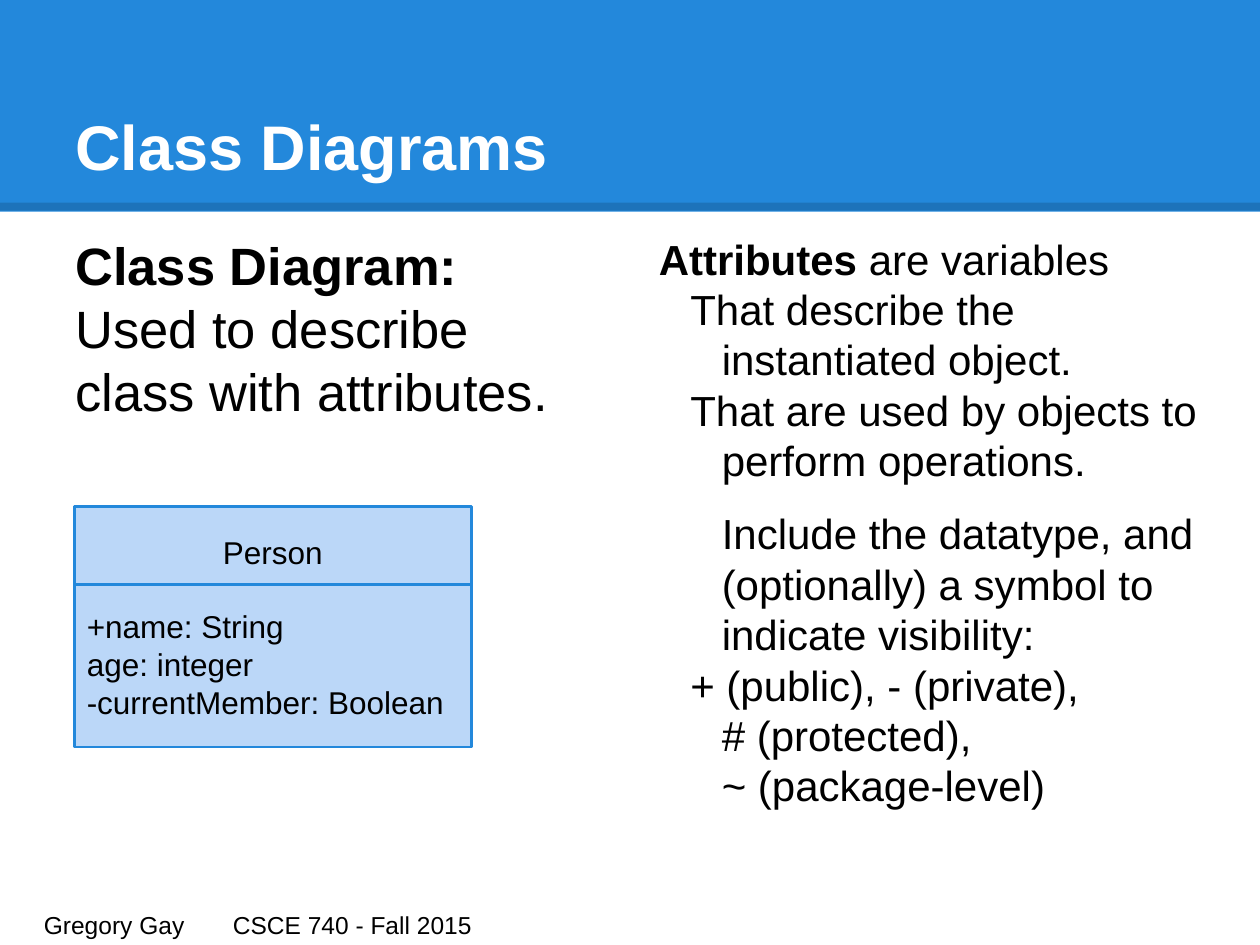
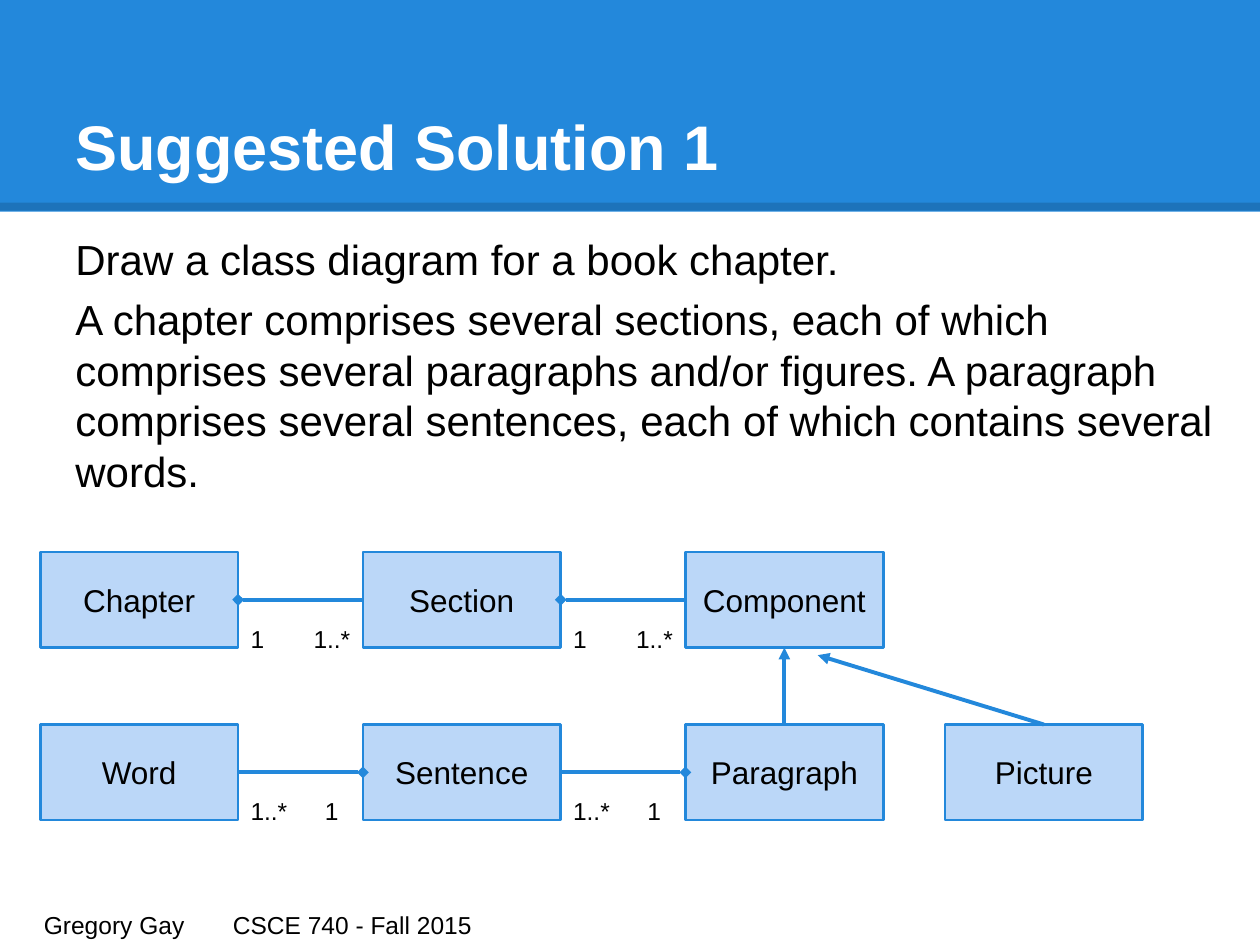
from dataclasses import dataclass

from lxml.etree import SubElement
from pptx import Presentation
from pptx.dml.color import RGBColor
from pptx.enum.shapes import MSO_CONNECTOR, MSO_SHAPE
from pptx.enum.text import MSO_ANCHOR, PP_ALIGN
from pptx.oxml.ns import qn
from pptx.util import Inches, Pt


@dataclass(frozen=True)
class Theme:
    font: str = "Arial"
    blue: str = "2388DB"
    pale_blue: str = "BBD7F8"
    white: str = "FFFFFF"
    black: str = "000000"
    title: int = 36
    lead: int = 30
    body: int = 24
    label: int = 18
    small: int = 14
    outline: float = 1.5
    link: float = 2.25
    rule: float = 4.5


@dataclass(frozen=True)
class Box:
    left: float
    top: float
    width: float
    height: float

    def inches(self):
        return [Inches(n) for n in (self.left, self.top, self.width, self.height)]


@dataclass(frozen=True)
class Para:
    runs: tuple  # (text, bold) pairs; "\n" breaks the line
    before: float = 0
    margin: float = 0
    indent: float = 0
    align: PP_ALIGN = PP_ALIGN.LEFT
    tab: float = 0


THEME = Theme()
SLIDE = Box(0, 0, 10, 7.5)
BAND = Box(0, 0, 10, 1.68)
TITLE = Box(0.5, 0.3, 9, 1.25)
FOOTER = Box(0.25, 7.12, 9.5, 0.3)
TOP, LEFT, BOTTOM, RIGHT = range(4)


def rgb(color):
    return RGBColor.from_string(color)


def plain(text, **layout):
    return Para(((text, False),), **layout)


def bold(text, **layout):
    return Para(((text, True),), **layout)


def write(shape, paras, *, size, color=THEME.black, anchor=MSO_ANCHOR.TOP):
    """Fill a shape with formatted paragraphs."""
    frame = shape.text_frame
    frame.word_wrap = True
    frame.vertical_anchor = anchor
    frame.margin_left = frame.margin_right = Inches(0.1)
    frame.margin_top = frame.margin_bottom = Inches(0.1)
    for number, para in enumerate(paras):
        paragraph = frame.paragraphs[0] if number == 0 else frame.add_paragraph()
        paragraph.alignment = para.align
        paragraph.space_before = Pt(para.before)
        props = paragraph._p.get_or_add_pPr()
        props.set("marL", str(Inches(para.margin)))
        props.set("indent", str(Inches(para.indent)))
        if para.tab:
            stops = SubElement(props, qn("a:tabLst"))
            SubElement(stops, qn("a:tab"), pos=str(Inches(para.tab)), algn="l")
        for text, is_bold in para.runs:
            for line_number, line in enumerate(text.split("\n")):
                if line_number:
                    paragraph.add_line_break()
                run = paragraph.add_run()
                run.text = line
                run.font.name = THEME.font
                run.font.size = Pt(size)
                run.font.bold = is_bold
                run.font.color.rgb = rgb(color)


def add_text(slide, box, paras, **style):
    write(slide.shapes.add_textbox(*box.inches()), paras, **style)


def add_rect(slide, box, fill, outline=None):
    rect = slide.shapes.add_shape(MSO_SHAPE.RECTANGLE, *box.inches())
    rect.shadow.inherit = False
    rect.fill.solid()
    rect.fill.fore_color.rgb = rgb(fill)
    if outline:
        rect.line.color.rgb = rgb(outline)
        rect.line.width = Pt(THEME.outline)
    else:
        rect.line.fill.background()
    return rect


def add_line(slide, start, end, *, color=THEME.blue, width=THEME.link,
             opacity=None, arrow=None):
    line = slide.shapes.add_connector(
        MSO_CONNECTOR.STRAIGHT, *[Inches(n) for n in (*start, *end)])
    line.line.color.rgb = rgb(color)
    line.line.width = Pt(width)
    stroke = line.line._get_or_add_ln()
    if opacity:
        SubElement(stroke.find(".//" + qn("a:srgbClr")), qn("a:alpha"),
                   val=str(opacity * 1000))
    if arrow:
        SubElement(stroke, qn("a:tailEnd"), type=arrow)
    SubElement(line._element.spPr, qn("a:effectLst"))
    return line


def add_link(slide, source, source_side, target, target_side, arrow):
    link = add_line(slide, (0, 0), (1, 1), arrow=arrow)
    link.begin_connect(source, source_side)
    link.end_connect(target, target_side)


def start_slide(deck, title):
    """Blank slide with the shared band, title and footer."""
    slide = deck.slides.add_slide(deck.slide_layouts[6])
    add_rect(slide, BAND, THEME.blue)
    rule_y = BAND.height - 0.04
    add_line(slide, (0, rule_y), (BAND.width, rule_y), color=THEME.black,
             width=THEME.rule, opacity=15)
    add_text(slide, TITLE, [bold(title)], size=THEME.title, color=THEME.white,
             anchor=MSO_ANCHOR.BOTTOM)
    add_text(slide, FOOTER, [plain("Gregory Gay\tCSCE 740 - Fall 2015", tab=6)],
             size=THEME.small)
    return slide


def draw_person_class(slide, box):
    """Class with a name compartment above its attributes."""
    person = add_rect(slide, box, THEME.pale_blue, THEME.blue)
    write(person, [
        plain("Person", align=PP_ALIGN.CENTER),
        plain("+name: String", before=21),
        plain("age: integer"),
        plain("-currentMember: Boolean"),
    ], size=THEME.label, anchor=MSO_ANCHOR.MIDDLE)
    divider_y = box.top + 0.62
    add_line(slide, (box.left, divider_y), (box.left + box.width, divider_y),
             width=THEME.outline)


def draw_book_diagram(slide, box):
    """Two rows of classes, joined by compositions and generalizations."""
    width, height, pitch, row_gap = 1.57, 0.76, 2.56, 1.37
    upper, lower = box.top, box.top + row_gap
    places = {
        "Chapter": (box.left, upper),
        "Section": (box.left + pitch, upper),
        "Component": (box.left + 2 * pitch, upper),
        "Word": (box.left, lower),
        "Sentence": (box.left + pitch, lower),
        "Paragraph": (box.left + 2 * pitch, lower),
        "Picture": (box.left + box.width - width, lower),
    }
    classes = {}
    for name, (left, top) in places.items():
        classes[name] = add_rect(slide, Box(left, top, width, height),
                                 THEME.pale_blue, THEME.blue)
        write(classes[name], [plain(name, align=PP_ALIGN.CENTER)],
              size=THEME.label, anchor=MSO_ANCHOR.MIDDLE)

    # Compositions: the diamond sits at the whole
    for part, part_side, whole, whole_side in (
            ("Section", LEFT, "Chapter", RIGHT),
            ("Component", LEFT, "Section", RIGHT),
            ("Word", RIGHT, "Sentence", LEFT),
            ("Sentence", RIGHT, "Paragraph", LEFT)):
        add_link(slide, classes[part], part_side, classes[whole], whole_side, "diamond")

    # Multiplicities: text, offset into the gap and label width
    row_labels = {
        upper: (("1", 0, 0.32), ("1..*", 0.5, 0.5)),
        lower: (("1..*", 0, 0.5), ("1", 0.59, 0.32)),
    }
    for top, labels in row_labels.items():
        for column in range(2):
            gap_left = box.left + column * pitch + width
            for text, offset, label_width in labels:
                add_text(slide, Box(gap_left + offset, top + 0.47, label_width, 0.23),
                         [plain(text)], size=THEME.small)

    # Generalizations
    add_link(slide, classes["Paragraph"], TOP, classes["Component"], BOTTOM, "triangle")
    component_left = places["Component"][0]
    picture_left = places["Picture"][0]
    generalization = add_line(
        slide, (picture_left + width / 2, lower),
        (component_left + 1.05, upper + height + 0.06), arrow="triangle")
    generalization.begin_connect(classes["Picture"], TOP)


def build_class_diagrams(deck):
    slide = start_slide(deck, "Class Diagrams")
    add_text(slide, Box(0.5, 1.75, 4.37, 2), [
        bold("Class Diagram:"),
        plain("Used to describe class with attributes."),
    ], size=THEME.lead)
    hanging = {"margin": 0.5, "indent": -0.25}
    add_text(slide, Box(5.13, 1.75, 4.62, 4.9), [
        Para((("Attributes ", True), ("are variables", False))),
        plain("That describe the instantiated object.", **hanging),
        plain("That are used by objects to perform operations.", **hanging),
        plain("Include the datatype, and (optionally) a symbol to indicate visibility:",
              before=13, margin=0.5),
        plain("+ (public), - (private),\n# (protected),\n~ (package-level)", **hanging),
    ], size=THEME.body)
    draw_person_class(slide, Box(0.59, 4.02, 3.15, 1.91))


def build_suggested_solution(deck):
    slide = start_slide(deck, "Suggested Solution 1")
    add_text(slide, Box(0.5, 1.75, 9.25, 2.27), [
        plain("Draw a class diagram for a book chapter."),
        plain("A chapter comprises several sections, each of which comprises several "
              "paragraphs and/or figures. A paragraph comprises several sentences, "
              "each of which contains several words.", before=6),
    ], size=THEME.body)
    draw_book_diagram(slide, Box(0.32, 4.38, 8.75, 2.13))


def main():
    deck = Presentation()
    deck.slide_width, deck.slide_height = Inches(SLIDE.width), Inches(SLIDE.height)
    build_class_diagrams(deck)
    build_suggested_solution(deck)
    deck.save("out.pptx")


if __name__ == "__main__":
    main()
